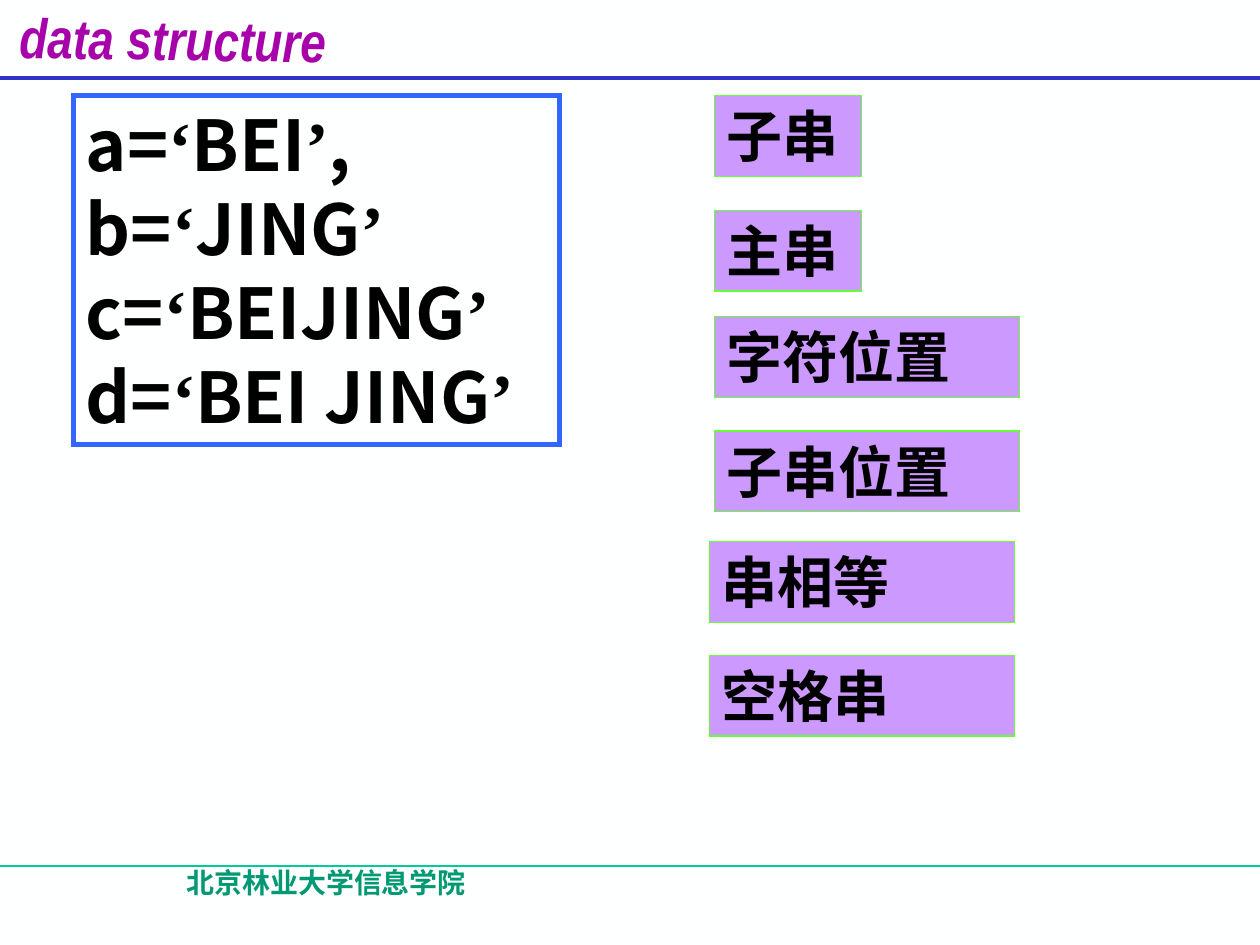
import lxml.etree
import pptx
import pptx.dml.color
import pptx.enum.shapes
import pptx.enum.text
import pptx.oxml.ns
import pptx.util

Cm = pptx.util.Cm
Pt = pptx.util.Pt
CJK = "Noto Sans CJK SC"
QUOTE_FONT = "Times New Roman"

TITLE = "data structure"
SCHOOL = "北京林业大学信息学院"
STRINGS = [("a", "BEI", ","), ("b", "JING", ""), ("c", "BEIJING", ""), ("d", "BEI JING", "")]
TERMS = [
    ("子串", 14.4, 1.93, 2.97),
    ("主串", 14.4, 4.24, 2.97),
    ("字符位置", 14.4, 6.38, 6.15),
    ("子串位置", 14.4, 8.69, 6.15),
    ("串相等", 14.3, 10.92, 6.15),
    ("空格串", 14.3, 13.21, 6.15),
]
TERM_HEIGHT = 1.63
RULES = [(17.46, "00CC99", 0.75), (1.57, "3333CC", 2.25)]


def color(value):
    return pptx.dml.color.RGBColor.from_string(value)


def add_element(parent, tag, **attributes):
    return lxml.etree.SubElement(parent, pptx.oxml.ns.qn(tag), **attributes)


def set_typeface(font, name):
    font.name = name
    add_element(font._element, "a:ea", typeface=name)


def style(paragraph, size, value, name=CJK):
    font = paragraph.font
    font.size, font.bold = Pt(size), True
    font.color.rgb = color(value)
    set_typeface(font, name)
    paragraph.space_before = Pt(0)


def add_rule(slide, top, value, width):
    rule = slide.shapes.add_connector(
        pptx.enum.shapes.MSO_CONNECTOR.STRAIGHT, 0, Cm(top), Cm(25.4), Cm(top))
    rule.line.color.rgb = color(value)
    rule.line.width = Pt(width)
    add_element(rule._element.spPr, "a:effectLst")


def add_box(slide, left, top, width, height, line, line_width, fill=None):
    shape = slide.shapes.add_shape(
        pptx.enum.shapes.MSO_SHAPE.RECTANGLE, Cm(left), Cm(top), Cm(width), Cm(height))
    shape.shadow.inherit = False
    if fill:
        shape.fill.solid()
        shape.fill.fore_color.rgb = color(fill)
    else:
        shape.fill.background()
    shape.line.color.rgb = color(line)
    shape.line.width = Pt(line_width)
    add_element(shape.line._get_or_add_ln(), "a:miter", lim="800000")
    frame = shape.text_frame
    frame.word_wrap = True
    frame.auto_size = pptx.enum.text.MSO_AUTO_SIZE.SHAPE_TO_FIT_TEXT
    frame.vertical_anchor = pptx.enum.text.MSO_ANCHOR.TOP
    return frame


def add_title(slide):
    title = slide.shapes.title
    title.left, title.top, title.width, title.height = Cm(0.14), Cm(-0.03), Cm(7.4), Cm(1.37)
    title.rotation = 0.8
    frame = title.text_frame
    frame.text = TITLE
    frame.word_wrap = False
    frame.auto_size = pptx.enum.text.MSO_AUTO_SIZE.NONE
    frame.vertical_anchor = pptx.enum.text.MSO_ANCHOR.TOP
    paragraph = frame.paragraphs[0]
    paragraph.alignment = pptx.enum.text.PP_ALIGN.LEFT
    style(paragraph, 32, "A603AB", "Arial Narrow")
    paragraph.font.italic = True


def add_school(slide):
    frame = slide.shapes.add_textbox(Cm(1.32), Cm(17.32), Cm(10.52), Cm(1.27)).text_frame
    frame.word_wrap = True
    frame.text = SCHOOL
    frame.paragraphs[0].alignment = pptx.enum.text.PP_ALIGN.CENTER
    style(frame.paragraphs[0], 16, "009973")


def add_strings(slide):
    frame = add_box(slide, 1.48, 1.93, 9.8, 7.04, "3366FF", 3)
    for index, (variable, value, ending) in enumerate(STRINGS):
        paragraph = frame.add_paragraph() if index else frame.paragraphs[0]
        paragraph.alignment = pptx.enum.text.PP_ALIGN.LEFT
        style(paragraph, 40, "000000")
        for text in filter(None, (variable + "=", "‘", value, "’", ending)):
            run = paragraph.add_run()
            run.text = text
            set_typeface(run.font, QUOTE_FONT if text in "‘’" else CJK)


def add_terms(slide):
    for text, left, top, width in TERMS:
        frame = add_box(slide, left, top, width, TERM_HEIGHT, "66FF33", 0.75, "CC99FF")
        frame.text = text
        frame.paragraphs[0].alignment = pptx.enum.text.PP_ALIGN.LEFT
        style(frame.paragraphs[0], 32, "000000")


def main():
    """Build the slide on string terms and save it."""
    presentation = pptx.Presentation()
    presentation.slide_width, presentation.slide_height = Cm(25.4), Cm(19.05)
    slide = presentation.slides.add_slide(presentation.slide_layouts[5])
    slide.background.fill.solid()
    slide.background.fill.fore_color.rgb = color("FEFFFF")
    for rule in RULES:
        add_rule(slide, *rule)
    add_title(slide)
    add_school(slide)
    add_strings(slide)
    add_terms(slide)
    presentation.save("out.pptx")


if __name__ == "__main__":
    main()
